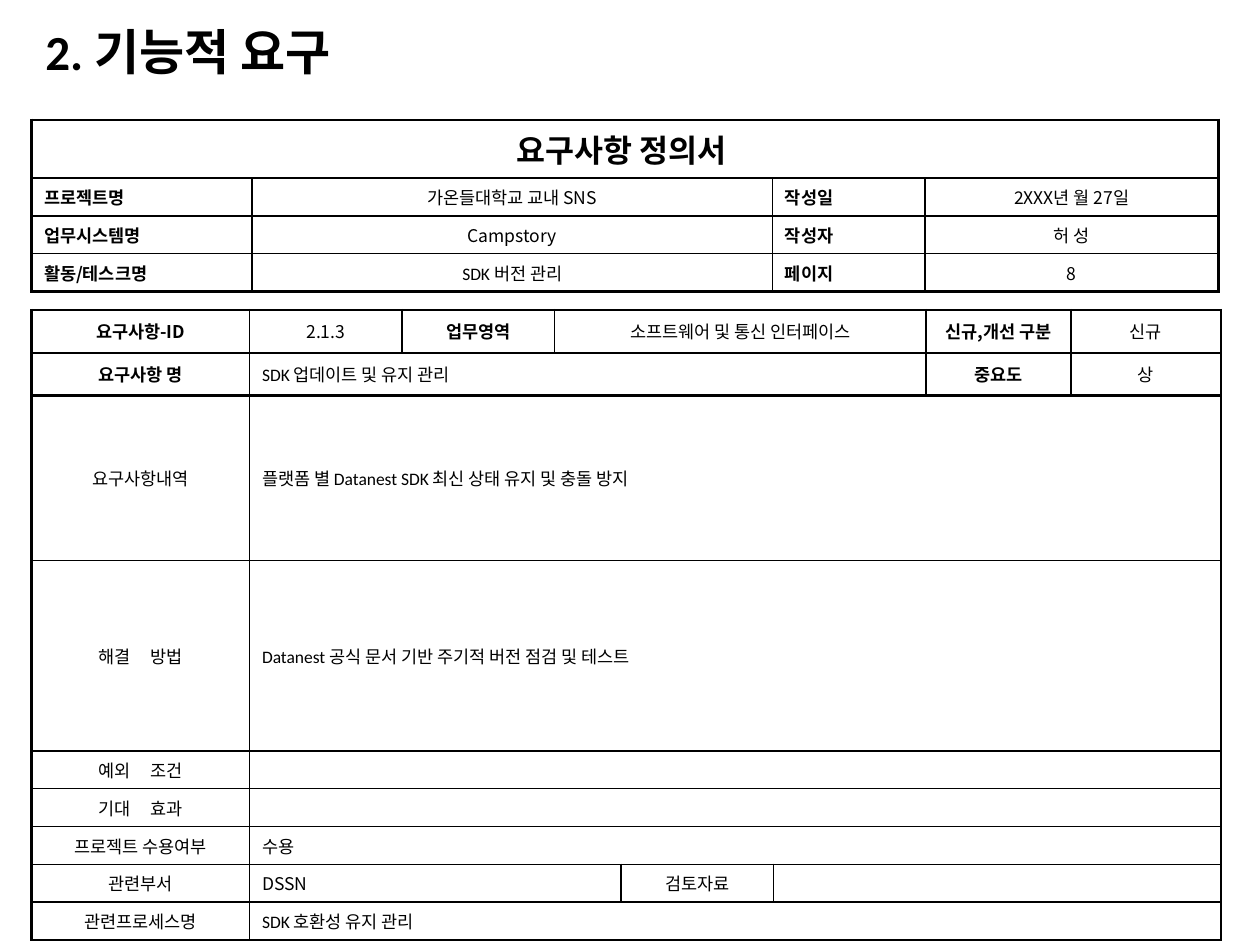
from pptx import Presentation, util as u
from pptx.dml.color import RGBColor
from pptx.enum import text as t
from pptx.oxml.ns import qn
from lxml import etree

W, H = 10, 7.5
NOTO, CAL = "Noto Sans CJK KR", "Calibri"
INK = "000000"
ALIGN = {"l": t.PP_ALIGN.LEFT, "c": t.PP_ALIGN.CENTER, "j": t.PP_ALIGN.JUSTIFY}


def write(frame, words, size=10, font=NOTO, bold=False, align="c", gap=0, before=20):
    """Fill a text frame; gap widens the space between the words, in points."""
    para = frame.paragraphs[0]
    para.alignment = ALIGN[align]
    if before:
        props = para._p.get_or_add_pPr()
        space = etree.SubElement(props, qn("a:spcBef"))
        etree.SubElement(space, qn("a:spcPct")).set("val", str(before * 1000))
    if not words:
        etree.SubElement(para._p, qn("a:endParaRPr")).set("sz", str(size * 100))
    for part in words.partition(" ") if gap else [words] if words else []:
        run = para.add_run()
        run.text = part
        run.font.size, run.font.bold, run.font.name = u.Pt(size), bold, font
        run.font.color.rgb = RGBColor.from_string(INK)
        etree.SubElement(run._r.rPr, qn("a:ea")).set("typeface", NOTO)
        if gap and part == " ":
            run._r.rPr.set("spc", str(gap * 100))


def border(cell, widths):
    """Draw the left, right, top and bottom lines of a cell."""
    props = cell._tc.get_or_add_tcPr()
    for i, (side, width) in enumerate(zip("LRTB", widths)):
        line = etree.Element(qn("a:ln" + side), w=str(u.Pt(width)))
        fill = etree.SubElement(line, qn("a:solidFill"))
        etree.SubElement(fill, qn("a:srgbClr")).set("val", INK)
        props.insert(i, line)


deck = Presentation()
deck.slide_width, deck.slide_height = u.Inches(W), u.Inches(H)
page = deck.slides.add_slide(deck.slide_layouts[5])

# Title
title = page.shapes.title
title.left, title.top, title.width, title.height = map(u.Inches, (0.26, 0.21, 5.36, 0.44))
title.text_frame.vertical_anchor = t.MSO_ANCHOR.MIDDLE
write(title.text_frame, "2. 기능적 요구", size=28, font=CAL, bold=True, align="l", before=0)
title.text_frame.paragraphs[0].line_spacing = 0.9

# Cell formats
head = dict(bold=True)
name = dict(bold=True, align="j")
mid = dict()
left = dict(align="l")
sdk = dict(align="l", font=CAL)
wide = dict(gap=9)

# Each cell is its words, its format and the columns it spans
detail = [
    [("요구사항-ID", head, 1), ("2.1.3", mid, 1), ("업무영역", head, 1),
     ("소프트웨어 및 통신 인터페이스", mid, 3), ("신규,개선 구분", head, 1), ("신규", mid, 1)],
    [("요구사항 명", head, 1), ("SDK 업데이트 및 유지 관리", sdk, 5),
     ("중요도", head, 1), ("상", mid, 1)],
    [("요구사항내역", mid, 1), ("플랫폼 별 Datanest SDK 최신 상태 유지 및 충돌 방지", sdk, 7)],
    [("해결 방법", wide, 1), ("Datanest 공식 문서 기반 주기적 버전 점검 및 테스트", sdk, 7)],
    [("예외 조건", wide, 1), ("", left, 7)],
    [("기대 효과", wide, 1), ("", left, 7)],
    [("프로젝트 수용여부", mid, 1), ("수용", left, 7)],
    [("관련부서", mid, 1), ("DSSN", left, 3), ("검토자료", mid, 1), ("", left, 3)],
    [("관련프로세스명", mid, 1), ("SDK 호환성 유지 관리", sdk, 7)],
]
summary = [
    [("요구사항 정의서 ", dict(size=18, bold=True), 4)],
    [("프로젝트명", name, 1), ("가온들대학교 교내 SNS", mid, 1),
     ("작성일", name, 1), ("2XXX년 월 27일", mid, 1)],
    [("업무시스템명 ", name, 1), ("Campstory", mid, 1),
     ("작성자", name, 1), ("허 성", mid, 1)],
    [("활동/테스크명", name, 1), ("SDK 버전 관리", dict(font=CAL), 1),
     ("페이지", name, 1), ("8", mid, 1)],
]

# Tables: top, column widths, row heights, rows, heavy horizontal lines
plans = [
    (2.46, [1.73, 1.21, 1.21, 0.53, 1.21, 1.21, 1.15, 1.19],
     [0.34] * 2 + [1.31, 1.51] + [0.27] * 5, detail, {0, 1, 2, 9}),
    (0.95, [1.75, 4.13, 1.21, 2.33], [0.46] + [0.27] * 3, summary, {0, 4}),
]
for top, cols, rows, data, heavy in plans:
    box = map(u.Inches, (0.25, top, sum(cols), sum(rows)))
    grid = page.shapes.add_table(len(rows), len(cols), *box).table
    grid.first_row = grid.horz_banding = False
    for col, size in zip(grid.columns, cols):
        col.width = u.Inches(size)
    for row, size in zip(grid.rows, rows):
        row.height = u.Inches(size)
    for r, line in enumerate(data):
        c = 0
        for words, style, span in line:
            end = c + span
            cell = grid.cell(r, c)
            if span > 1:
                cell.merge(grid.cell(r, end - 1))
            cell.vertical_anchor = t.MSO_ANCHOR.MIDDLE
            write(cell.text_frame, words, **style)
            edges = [c == 0, end == len(cols), r in heavy, r + 1 in heavy]
            for k in range(c, end):
                grid.cell(r, k).fill.background()
                border(grid.cell(r, k), [1.5 if edge else 1 for edge in edges])
            c = end

deck.save("out.pptx")
